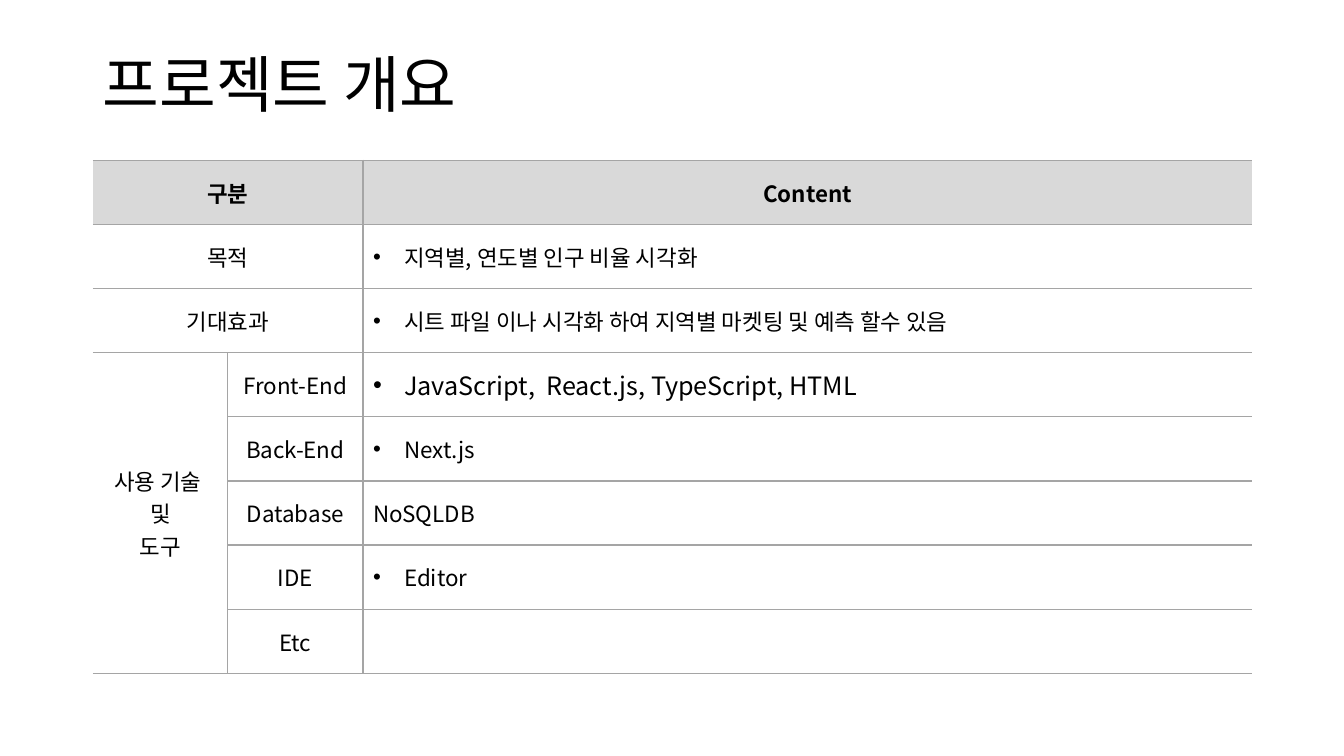
from dataclasses import dataclass

from lxml import etree
from pptx import Presentation, util as u
from pptx.dml.color import RGBColor
from pptx.enum import text
from pptx.oxml import ns


@dataclass(frozen=True)
class Theme:
    """Colours, font and type sizes of the slide."""
    font: str = "Noto Sans CJK KR"
    ink: str = "000000"
    header: str = "D9D9D9"
    rule: str = "A5A5A5"
    title: int = 44
    body: int = 16
    large: int = 18
    rule_width: int = 1


THEME = Theme()
BULLET_INDENT = u.Inches(0.31)
CATEGORY_WIDTH = u.Inches(1.34)
TOOLS_ROW = 3

OVERVIEW = [
    ("구분", "", "Content"),
    ("목적", "", "지역별, 연도별 인구 비율 시각화"),
    ("기대효과", "", "시트 파일 이나 시각화 하여 지역별 마켓팅 및 예측 할수 있음"),
    ("사용 기술 \n및\n도구", "Front-End", "JavaScript,  React.js, TypeScript, HTML"),
    ("", "Back-End", "Next.js"),
    ("", "Database", "NoSQLDB"),
    ("", "IDE", "Editor"),
    ("", "Etc", ""),
]
UNBULLETED_ROWS = (0, 5)
LARGE_ROW = 3


def add_run(paragraph, wording, size, bold=False):
    """Add one run in the theme's font and ink."""
    run = paragraph.add_run()
    run.text = wording
    run.font.name = THEME.font
    run.font.size = u.Pt(size)
    run.font.bold = bold
    run.font.color.rgb = RGBColor.from_string(THEME.ink)
    east_asian = etree.SubElement(run.font._element, ns.qn("a:ea"))
    east_asian.set("typeface", THEME.font)


def add_bullet(paragraph):
    """Give a paragraph a hanging round bullet."""
    properties = paragraph._p.get_or_add_pPr()
    properties.set("marL", str(BULLET_INDENT))
    properties.set("indent", str(-BULLET_INDENT))
    etree.SubElement(properties, ns.qn("a:buFont")).set("typeface", "Arial")
    etree.SubElement(properties, ns.qn("a:buChar")).set("char", "•")


def rule_cell(cell, sides):
    """Draw rules on the named sides of a cell and clear the others."""
    properties = cell._tc.get_or_add_tcPr()
    for side in "LRTB":
        line = etree.SubElement(properties, ns.qn(f"a:ln{side}"))
        if side in sides:
            line.set("w", str(u.Pt(THEME.rule_width)))
            fill = etree.SubElement(line, ns.qn("a:solidFill"))
            etree.SubElement(fill, ns.qn("a:srgbClr")).set("val", THEME.rule)
        else:
            etree.SubElement(line, ns.qn("a:noFill"))


def cell_sides(cell, row, column):
    """Return the ruled sides, leaving the table's outer sides open."""
    if cell.is_merge_origin:
        return "RTB"
    if cell.is_spanned and column == 0:
        return "RB" if row == len(OVERVIEW) - 1 else "R"
    return ("RTB" if cell.is_spanned else "LRTB") if column == 1 else "LTB"


def fill_cell(cell, row, column, wording):
    """Set the text, fill and rules of one cell."""
    rule_cell(cell, cell_sides(cell, row, column))
    if row == 0:
        cell.fill.solid()
        cell.fill.fore_color.rgb = RGBColor.from_string(THEME.header)
    else:
        cell.fill.background()
    cell.vertical_anchor = text.MSO_ANCHOR.MIDDLE
    if not wording:
        return
    is_content = column == 2
    size = THEME.large if is_content and row == LARGE_ROW else THEME.body
    for index, part in enumerate(wording.split("\n")):
        frame = cell.text_frame
        paragraph = frame.add_paragraph() if index else frame.paragraphs[0]
        if row == 0 or not is_content:
            paragraph.alignment = text.PP_ALIGN.CENTER
        elif row not in UNBULLETED_ROWS:
            add_bullet(paragraph)
        add_run(paragraph, part, size, bold=row == 0)


def add_title(slide, left, top, width, height):
    """Place the slide title in the given box."""
    frame = slide.shapes.add_textbox(left, top, width, height).text_frame
    frame.word_wrap = True
    frame.vertical_anchor = text.MSO_ANCHOR.MIDDLE
    frame.paragraphs[0].line_spacing = 0.9
    add_run(frame.paragraphs[0], "프로젝트 개요", THEME.title)


def add_overview(slide, left, top, width, height):
    """Place the project overview table in the given box."""
    overview = slide.shapes.add_table(len(OVERVIEW), 3, left, top, width, height).table
    overview.first_row = overview.horz_banding = False
    widths = (CATEGORY_WIDTH, CATEGORY_WIDTH, width - 2 * CATEGORY_WIDTH)
    for column, column_width in zip(overview.columns, widths):
        column.width = column_width
    for row in range(TOOLS_ROW):
        overview.cell(row, 0).merge(overview.cell(row, 1))
    overview.cell(TOOLS_ROW, 0).merge(overview.cell(len(OVERVIEW) - 1, 0))
    for row, entries in enumerate(OVERVIEW):
        for column, wording in enumerate(entries):
            fill_cell(overview.cell(row, column), row, column, wording)


def main():
    """Build and save the project overview slide."""
    presentation = Presentation()
    presentation.slide_width = u.Inches(13.33)
    presentation.slide_height = u.Inches(7.5)
    slide = presentation.slides.add_slide(presentation.slide_layouts[6])
    left, width = u.Inches(0.92), u.Inches(11.5)
    add_title(slide, left, u.Inches(0.4), width, u.Inches(0.94))
    add_overview(slide, left, u.Inches(1.59), width, u.Inches(5.09))
    presentation.save("out.pptx")


if __name__ == "__main__":
    main()
